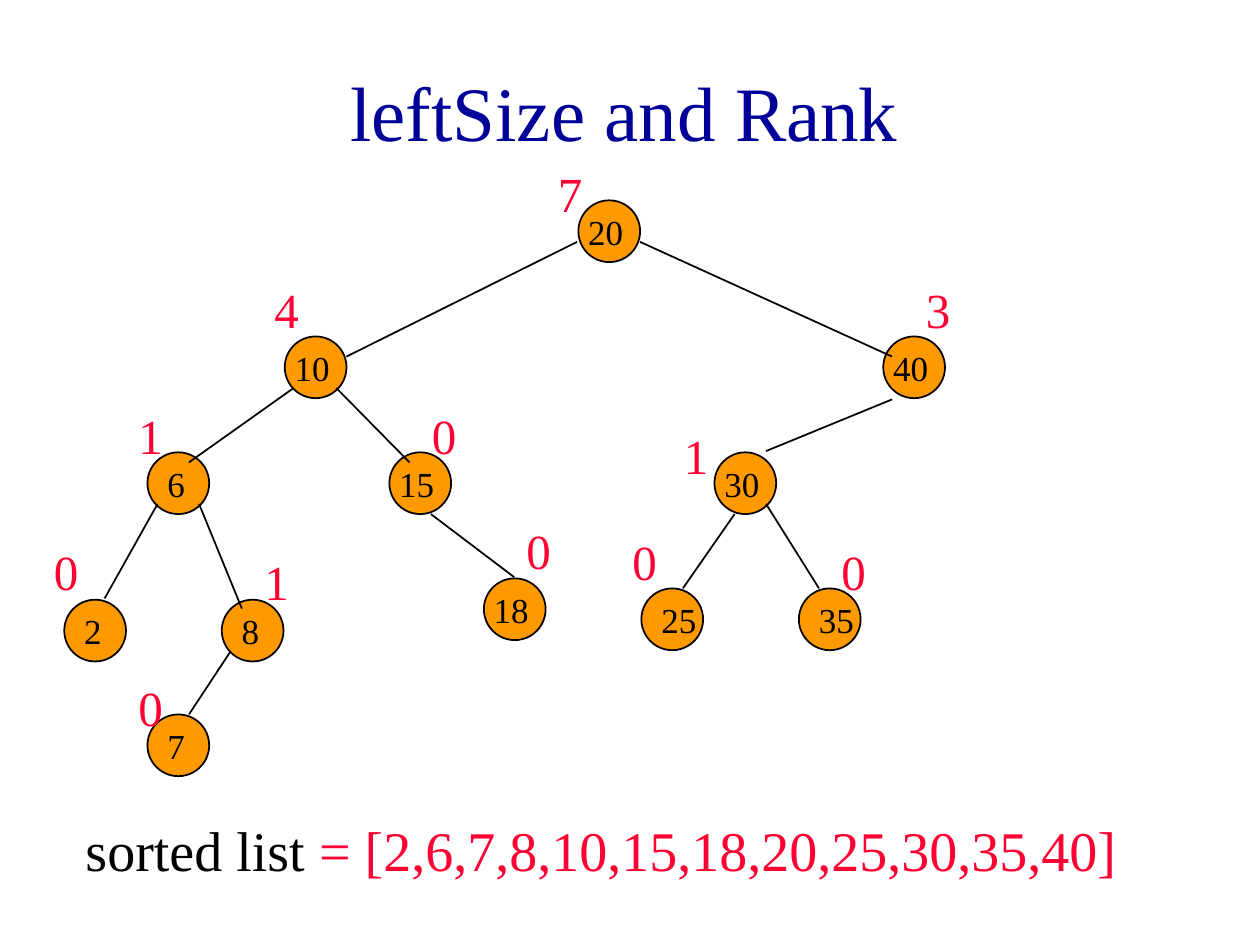
from typing import NamedTuple

from lxml import etree
from pptx import Presentation, util as u
from pptx.dml.color import RGBColor
from pptx.enum import shapes, text
from pptx.oxml.ns import qn

FONT = "Times New Roman"
BLACK, RED, ORANGE, NAVY = "000000", "FF0033", "FF9900", "000099"
DIAMETER = 0.49


class Node(NamedTuple):
    key: int
    x: float
    y: float
    left_size: int
    size_x: float
    size_y: float
    key_dx: float = -0.02


class Edge(NamedTuple):
    x1: float
    y1: float
    x2: float
    y2: float


NODES = [
    Node(20, 4.59, 1.59, 7, 4.33, 1.25),
    Node(10, 2.26, 2.67, 4, 2.08, 2.17),
    Node(40, 7.01, 2.67, 3, 7.25, 2.17),
    Node(6, 1.17, 3.59, 1, 1, 3.17, 0.06),
    Node(15, 3.09, 3.59, 0, 3.33, 3.17),
    Node(30, 5.67, 3.59, 1, 5.33, 3.33),
    Node(2, 0.51, 4.76, 0, 0.33, 4.25, 0.06),
    Node(8, 1.76, 4.76, 1, 2, 4.33, 0.06),
    Node(18, 3.84, 4.59, 0, 4.08, 4.08),
    Node(25, 5.09, 4.67, 0, 4.92, 4.17, 0.06),
    Node(35, 6.34, 4.67, 0, 6.58, 4.25, 0.06),
    Node(7, 1.17, 5.67, 0, 1, 5.33, 0.06),
]
EDGES = [
    Edge(4.58, 1.92, 2.75, 2.83),
    Edge(5.08, 1.92, 7.08, 2.83),
    Edge(2.33, 3.08, 1.5, 3.67),
    Edge(2.67, 3.08, 3.25, 3.67),
    Edge(7.08, 3.17, 6.08, 3.58),
    Edge(1.25, 4, 0.83, 4.75),
    Edge(1.58, 4, 1.92, 4.83),
    Edge(3.42, 4.08, 4.08, 4.58),
    Edge(5.83, 4.08, 5.42, 4.67),
    Edge(6.08, 4, 6.5, 4.67),
    Edge(1.83, 5.17, 1.5, 5.67),
]


def rgb(value: str) -> RGBColor:
    return RGBColor.from_string(value)


def add_run(p, content: str, size: float, color: str) -> None:
    r = p.add_run()
    r.text = content
    r.font.name = FONT
    r.font.size = u.Pt(size)
    r.font.color.rgb = rgb(color)


def add_text(s, x: float, y: float, w: float, h: float, size: float,
             runs: list[tuple[str, str]], wrap: bool = True) -> None:
    """Add a one-paragraph text box from (text, colour) runs."""
    sp = s.shapes.add_textbox(*map(u.Inches, (x, y, w, h)))
    tf = sp.text_frame
    tf.word_wrap = wrap
    tf.auto_size = text.MSO_AUTO_SIZE.SHAPE_TO_FIT_TEXT
    for content, color in runs:
        add_run(tf.paragraphs[0], content, size, color)


def add_circle(s, node: Node) -> None:
    sp = s.shapes.add_shape(
        shapes.MSO_SHAPE.OVAL,
        *map(u.Inches, (node.x, node.y, DIAMETER, DIAMETER)))
    sp.shadow.inherit = False
    sp.fill.solid()
    sp.fill.fore_color.rgb = rgb(ORANGE)
    sp.line.color.rgb = rgb(BLACK)
    sp.line.width = u.Pt(1)


def add_edge(s, edge: Edge) -> None:
    line = s.shapes.add_connector(
        shapes.MSO_CONNECTOR.STRAIGHT, *map(u.Inches, edge))
    line.line.color.rgb = rgb(BLACK)
    line.line.width = u.Pt(1)
    etree.SubElement(line._element.spPr, qn("a:effectLst"))


def add_labels(s, node: Node) -> None:
    """Write the key in the circle and leftSize beside it."""
    key = str(node.key)
    width = 0.2 + 0.14 * len(key)
    add_text(s, node.x + node.key_dx, node.y + 0.03, width, 0.43, 20,
             [(key, BLACK)], wrap=False)
    add_text(s, node.size_x, node.size_y, 0.25, 0.57, 28,
             [(str(node.left_size), RED)])


def add_title(s, content: str) -> None:
    sp = s.shapes.title
    sp.left, sp.top, sp.width, sp.height = map(
        u.Inches, (0.08, 0.25, 9.75, 1.25))
    tf = sp.text_frame
    tf.auto_size = text.MSO_AUTO_SIZE.NONE
    tf.vertical_anchor = text.MSO_ANCHOR.MIDDLE
    p = tf.paragraphs[0]
    p.alignment = text.PP_ALIGN.CENTER
    add_run(p, content, 44, NAVY)


def main() -> None:
    prs = Presentation()
    prs.slide_width, prs.slide_height = u.Inches(10), u.Inches(7.5)
    s = prs.slides.add_slide(prs.slide_layouts[5])
    add_title(s, "leftSize and Rank")
    for node in NODES:
        add_circle(s, node)
    for edge in EDGES:
        add_edge(s, edge)
    for node in NODES:
        add_labels(s, node)
    keys = ",".join(str(key) for key in sorted(node.key for node in NODES))
    add_text(s, 0.58, 6.42, 9.08, 0.63, 32,
             [("sorted list", BLACK), (f" = [{keys}]", RED)])
    prs.save("out.pptx")


if __name__ == "__main__":
    main()
